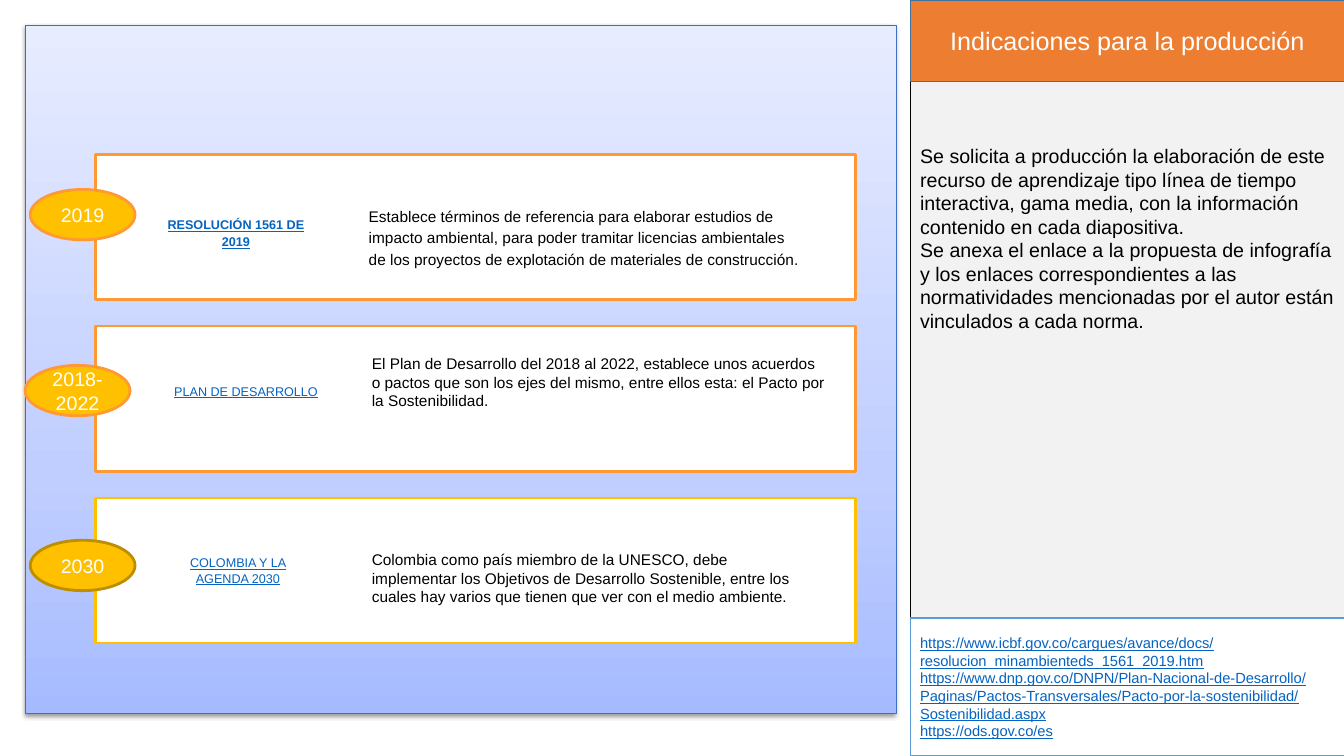
from collections import namedtuple
from copy import deepcopy

from lxml import etree
from pptx import Presentation
from pptx import util as u
from pptx.dml import color
from pptx.enum import shapes, text
from pptx.oxml import ns

COLUMNS, ROWS = 160, 90
CELL = u.Inches(7.5) / ROWS
Box = namedtuple("Box", "x y w h")
Milestone = namedtuple("Milestone", "year norm detail frame rim year_at norm_at detail_at norm_style detail_style")
CENTER = text.PP_ALIGN.CENTER
LINK = {"size": u.Pt(9), "color": "0563C1", "underline": True}
DETAIL = {"size": u.Pt(11)}
LOOSE = {"line_spacing": 1.15}
CENTERED = {"alignment": CENTER}

MILESTONES = [
    Milestone(
        "2019", "RESOLUCIÓN 1561 DE 2019",
        "Establece términos de referencia para elaborar estudios de impacto ambiental, para poder tramitar "
        "licencias ambientales de los proyectos de explotación de materiales de construcción.",
        "FF9933", "FF9933", (-7.8, 4.2), (6.84, 6.6, 19.68, 3.36), (31.32, 5.4, 54.48, 8.4),
        {"font": {**LINK, "bold": True}, "para": {**CENTERED, **LOOSE}}, {"para": LOOSE}),
    Milestone(
        "2018-2022", "PLAN DE DESARROLLO",
        "El Plan de Desarrollo del 2018 al 2022, establece unos acuerdos o pactos que son los ejes del mismo, "
        "entre ellos esta: el Pacto por la Sostenibilidad.",
        "FF9933", "FF9933", (-8.4, 4.68), (8.16, 6.24, 19.68, 3), (31.68, 2.76, 56.64, 7.92),
        {"font": LINK, "frame": {"word_wrap": False}}, {}),
    Milestone(
        "2030", "COLOMBIA Y LA AGENDA 2030",
        "Colombia como país miembro de la UNESCO, debe implementar los Objetivos de Desarrollo Sostenible, "
        "entre los cuales hay varios que tienen que ver con el medio ambiente.",
        "FFC000", "BD8E00", (-7.8, 5.04), (8.16, 6.24, 17.52, 4.8), (31.68, 5.64, 54.12, 7.92),
        {"font": LINK, "para": CENTERED}, {}),
]
INSTRUCTIONS = [
    "Se solicita a producción la elaboración de este recurso de aprendizaje tipo línea de tiempo interactiva, "
    "gama media, con la información contenido en cada diapositiva.",
    "Se anexa el enlace a la propuesta de infografía y los enlaces correspondientes a las normatividades "
    "mencionadas por el autor están vinculados a cada norma.",
]
ADDRESSES = [
    "https://www.icbf.gov.co/cargues/avance/docs/resolucion_minambienteds_1561_2019.htm",
    "https://www.dnp.gov.co/DNPN/Plan-Nacional-de-Desarrollo/Paginas/Pactos-Transversales/"
    "Pacto-por-la-sostenibilidad/Sostenibilidad.aspx",
    "https://ods.gov.co/es",
]


def rgb(value):
    """Turn a hex string into a colour."""
    return color.RGBColor.from_string(value)


def within(box, x, y, w, h):
    """Give a box whose corner is counted in cells from another box."""
    return Box(box.x + x, box.y + y, w, h)


def emu(box):
    """Turn a box of grid cells into slide lengths."""
    return [round(cells * CELL) for cells in box]


def apply(target, values):
    """Set every format value on its target."""
    for name, value in values.items():
        setattr(target, name, value)


def write(holder, paragraphs, font, para=None, frame=None):
    """Write formatted paragraphs into a shape or text box."""
    body = holder.text_frame
    apply(body, {"word_wrap": True, **(frame or {})})
    font = {"name": "Arial", **font}
    ink = font.pop("color", "000000")
    for index, wording in enumerate(paragraphs):
        paragraph = body.add_paragraph() if index else body.paragraphs[0]
        apply(paragraph, {"alignment": text.PP_ALIGN.LEFT, **(para or {})})
        run = paragraph.add_run()
        run.text = wording
        apply(run.font, font)
        run.font.color.rgb = rgb(ink)


def block(slide, box, fill, line, width=1, kind=shapes.MSO_SHAPE.RECTANGLE):
    """Add a filled and outlined shape without shadow."""
    shape = slide.shapes.add_shape(kind, *emu(box))
    shape.shadow.inherit = False
    shape.fill.solid()
    shape.fill.fore_color.rgb = rgb(fill)
    shape.line.color.rgb = rgb(line)
    shape.line.width = u.Pt(width)
    return shape


def label(slide, box, wording, font, para=None, frame=None):
    """Add a text box with one paragraph."""
    write(slide.shapes.add_textbox(*emu(box)), [wording], font, para, frame)


def backdrop(slide, box):
    """Draw the shaded panel behind the timeline."""
    panel = block(slide, box, "A6BBFF", "3F6FC3", 0.75)
    panel.fill.gradient()
    panel.fill.gradient_angle = 90
    stops = panel._element.spPr.find(ns.qn("a:gradFill")).find(ns.qn("a:gsLst"))
    stops.append(deepcopy(stops[-1]))
    shades = [(0, "A6BBFF"), (0.35, "C0CEFF"), (1, "E7ECFF")]
    for stop, (position, shade) in zip(panel.fill.gradient_stops, shades):
        stop.position = position
        stop.color.rgb = rgb(shade)
    effects = panel._element.spPr.find(ns.qn("a:effectLst"))
    shadow = etree.SubElement(effects, ns.qn("a:outerShdw"), blurRad=str(u.Pt(3.1)),
                              dist=str(u.Pt(1.6)), dir="5400000", rotWithShape="0")
    tint = etree.SubElement(shadow, ns.qn("a:srgbClr"), val="000000")
    etree.SubElement(tint, ns.qn("a:alpha"), val="38000")


def milestone_row(slide, box, item):
    """Draw one milestone: card, year, norm and detail."""
    block(slide, box, "FFFFFF", item.frame, 2)
    year = block(slide, within(box, *item.year_at, 12.48, 6), "FFC000", item.rim, 2, shapes.MSO_SHAPE.OVAL)
    write(year, [item.year], {"size": u.Pt(14), "color": "FFFFFF"}, CENTERED,
          {"vertical_anchor": text.MSO_ANCHOR.MIDDLE})
    label(slide, within(box, *item.norm_at), item.norm, **item.norm_style)
    label(slide, within(box, *item.detail_at), item.detail, DETAIL, **item.detail_style)


def timeline(slide, box):
    """Draw the panel with its evenly spaced milestones."""
    backdrop(slide, box)
    for index, item in enumerate(MILESTONES):
        milestone_row(slide, within(box, 8.4, 15.36 + index * 20.46, 90.48, 17.28), item)


def sidebar(slide, box):
    """Draw the production instructions and their addresses."""
    middle = {"vertical_anchor": text.MSO_ANCHOR.MIDDLE}
    block(slide, box, "F2F2F2", "000000")
    instructions = slide.shapes.add_textbox(*emu(within(box, 0, 16.56, 51.96, 39.6)))
    write(instructions, INSTRUCTIONS, {"size": u.Pt(14)})
    heading = block(slide, within(box, 0, 0, box.w, 9.72), "ED7D31", "42719B")
    write(heading, ["Indicaciones para la producción"], {"size": u.Pt(18), "color": "FFFFFF"}, CENTERED, middle)
    addresses = block(slide, within(box, 0, 73.56, 51.84, 16.44), "FFFFFF", "5B9BD5")
    write(addresses, ADDRESSES, {**LINK, "size": u.Pt(10.5)}, frame=middle)


def main():
    """Build and save the slide."""
    deck = Presentation()
    apply(deck, {"slide_width": round(COLUMNS * CELL), "slide_height": round(ROWS * CELL)})
    slide = deck.slides.add_slide(deck.slide_layouts[6])
    timeline(slide, Box(3, 3, 103.68, 81.96))
    sidebar(slide, Box(108.36, 0, 51.72, ROWS))
    deck.save("out.pptx")


main()
